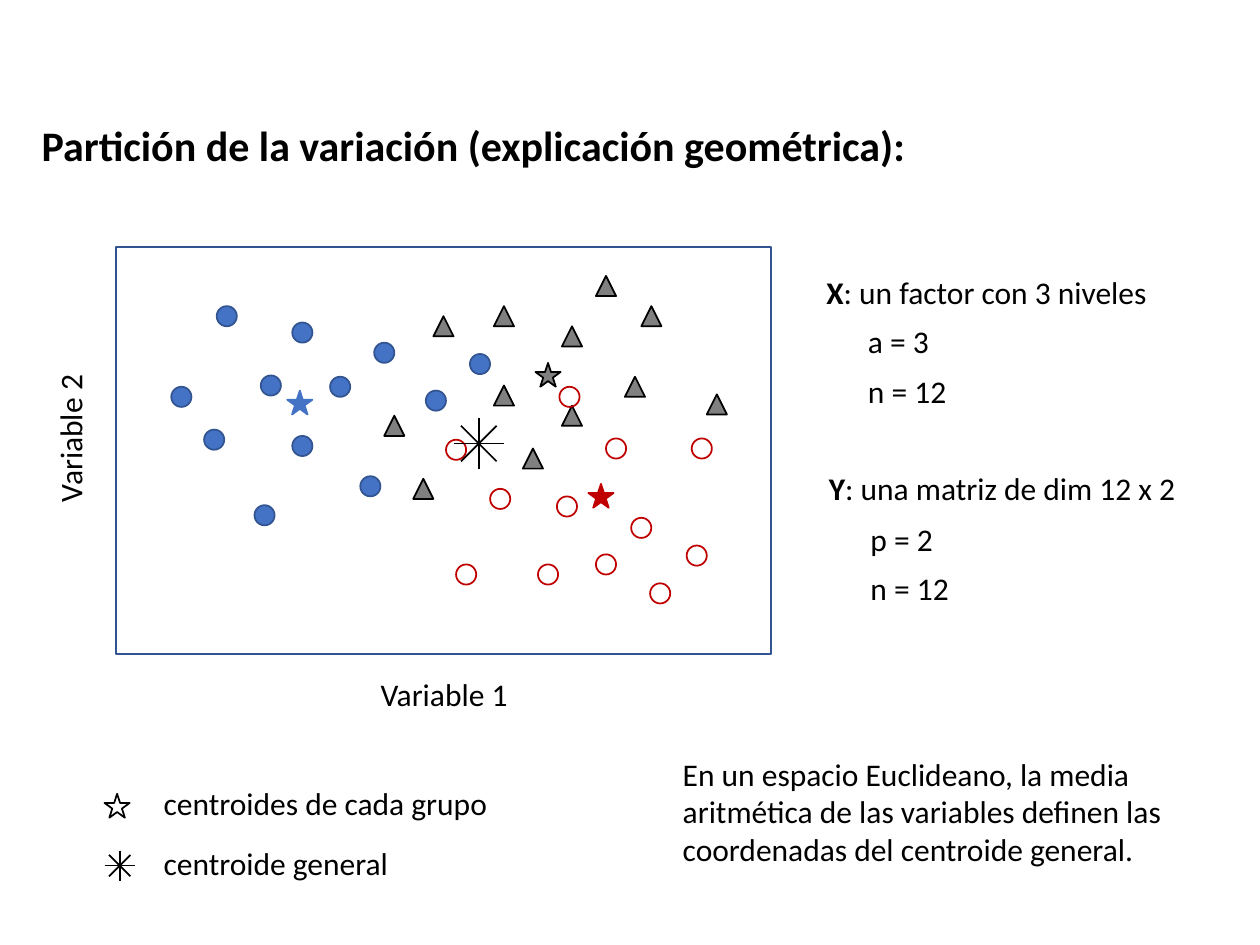
from dataclasses import dataclass
from math import cos, pi, sin

from lxml.etree import SubElement
from pptx import Presentation
from pptx.dml.color import RGBColor
from pptx.enum.shapes import MSO_CONNECTOR, MSO_SHAPE
from pptx.enum.text import MSO_ANCHOR, MSO_AUTO_SIZE, PP_ALIGN
from pptx.oxml.ns import qn
from pptx.util import Inches, Pt

BLACK, BLUE, NAVY, GRAY, RED = "000000", "4472C4", "325491", "808080", "C00000"
DOT = 0.16
STAR = (0.2, 0.19)


@dataclass
class Group:
    kind: MSO_SHAPE
    fill: str | None
    line: str
    spots: list[tuple[float, float]]


@dataclass
class Label:
    text: str
    left: float
    top: float
    width: float
    height: float = 0.4
    head: str = ""
    align: PP_ALIGN = PP_ALIGN.LEFT
    turn: int = 0


@dataclass
class Star:
    left: float
    top: float
    fill: str | None
    line: str


@dataclass
class Cross:
    x: float
    y: float
    arm: float


GROUPS = [
    Group(MSO_SHAPE.OVAL, BLUE, NAVY, [
        (2.97, 2.72), (2.07, 2.98), (1.72, 2.43), (1.62, 3.41), (2.32, 3.46), (2.62, 2.99),
        (2.02, 4.01), (1.36, 3.07), (3.38, 3.1), (2.86, 3.78), (3.73, 2.81), (2.32, 2.56)]),
    Group(MSO_SHAPE.ISOSCELES_TRIANGLE, GRAY, BLACK, [
        (4.96, 2.99), (3.92, 3.06), (3.28, 3.8), (3.92, 2.43), (3.05, 3.3), (4.46, 3.22),
        (4.46, 2.59), (4.73, 2.19), (5.09, 2.43), (4.15, 3.56), (5.61, 3.13), (3.44, 2.51)]),
    Group(MSO_SHAPE.OVAL, None, RED, [
        (4.44, 3.07), (4.81, 3.48), (5.49, 3.48), (5.16, 4.63), (3.89, 3.88), (4.42, 3.94),
        (4.27, 4.48), (3.62, 4.48), (3.54, 3.49), (5.01, 4.11), (4.73, 4.4), (5.45, 4.33)]),
]

STARS = [
    Star(4.67, 3.84, RED, RED),
    Star(4.25, 2.88, GRAY, BLACK),
    Star(2.28, 3.1, BLUE, BLUE),
    Star(0.83, 6.3, None, BLACK),
]

LABELS = [
    Label("Variable 1", 2.5, 5.31, 2.05, align=PP_ALIGN.CENTER),
    Label("Variable 2", -0.47, 3.28, 2.05, align=PP_ALIGN.CENTER, turn=270),
    Label(": un factor con 3 niveles", 6.46, 2.12, 3.47, head="X"),
    Label("a = 3", 6.79, 2.51, 1.05),
    Label("n = 12", 6.79, 2.9, 1.05),
    Label(": una matriz de dim 12 x 2", 6.48, 3.67, 3.47, head="Y"),
    Label("p = 2", 6.81, 4.08, 1.05),
    Label("n = 12", 6.81, 4.47, 1.05),
    Label("centroides de cada grupo", 1.2, 6.17, 3.11),
    Label("centroide general", 1.2, 6.65, 3.07),
    Label("En un espacio Euclideano, la media aritmética de las variables definen las "
          "coordenadas del centroide general.", 5.32, 5.94, 4.39, 1.01),
]

CROSSES = [Cross(3.8, 3.52, 0.2), Cross(0.95, 6.87, 0.12)]


def tint(code: str) -> RGBColor:
    return RGBColor.from_string(code)


def style(run, size: int, bold: bool = False) -> None:
    run.font.name = "Calibri"
    run.font.size = Pt(size)
    run.font.bold = bold
    run.font.color.rgb = tint(BLACK)


def place(shape, left: float, top: float, width: float, height: float) -> None:
    shape.left, shape.top = Inches(left), Inches(top)
    shape.width, shape.height = Inches(width), Inches(height)


def draw_shape(slide, kind: MSO_SHAPE, left: float, top: float, width: float,
               height: float, fill: str | None, line: str) -> None:
    shape = slide.shapes.add_shape(
        kind, Inches(left), Inches(top), Inches(width), Inches(height))
    shape.shadow.inherit = False
    if fill:
        shape.fill.solid()
        shape.fill.fore_color.rgb = tint(fill)
    else:
        shape.fill.background()
    shape.line.color.rgb = tint(line)
    shape.line.width = Pt(1)


def draw_title(slide, text: str) -> None:
    title = slide.shapes.title
    place(title, 0.23, 0.9, 8.7, 0.5)
    frame = title.text_frame
    frame.text = text
    frame.auto_size = MSO_AUTO_SIZE.NONE
    frame.vertical_anchor = MSO_ANCHOR.TOP
    frame.paragraphs[0].alignment = PP_ALIGN.LEFT
    style(frame.paragraphs[0].runs[0], 24, True)


def draw_label(slide, label: Label) -> None:
    box = slide.shapes.add_textbox(0, 0, 0, 0)
    place(box, label.left, label.top, label.width, label.height)
    box.rotation = label.turn
    frame = box.text_frame
    frame.word_wrap = True
    frame.text = label.head or label.text
    para = frame.paragraphs[0]
    para.alignment = label.align
    style(para.runs[0], 18, bool(label.head))
    if label.head:
        tail = para.add_run()
        tail.text = label.text
        style(tail, 18)


def draw_cross(slide, cross: Cross) -> None:
    group = slide.shapes.add_group_shape()
    for step in range(4):
        dx = cross.arm * cos(step * pi / 4)
        dy = cross.arm * sin(step * pi / 4)
        line = group.shapes.add_connector(
            MSO_CONNECTOR.STRAIGHT,
            Inches(cross.x - dx), Inches(cross.y - dy),
            Inches(cross.x + dx), Inches(cross.y + dy))
        line.line.color.rgb = tint(BLACK)
        line.line.width = Pt(1)
        SubElement(line._element.spPr, qn("a:effectLst"))


def main() -> None:
    deck = Presentation()
    deck.slide_width, deck.slide_height = Inches(10), Inches(7.5)
    slide = deck.slides.add_slide(deck.slide_layouts[5])
    draw_title(slide, "Partición de la variación (explicación geométrica):")
    draw_shape(slide, MSO_SHAPE.RECTANGLE, 0.92, 1.96, 5.2, 3.23, None, NAVY)
    for group in GROUPS:
        for left, top in group.spots:
            draw_shape(slide, group.kind, left, top, DOT, DOT, group.fill, group.line)
    for star in STARS:
        draw_shape(slide, MSO_SHAPE.STAR_5_POINT, star.left, star.top, *STAR,
                   star.fill, star.line)
    for label in LABELS:
        draw_label(slide, label)
    for cross in CROSSES:
        draw_cross(slide, cross)
    deck.save("out.pptx")


if __name__ == "__main__":
    main()
